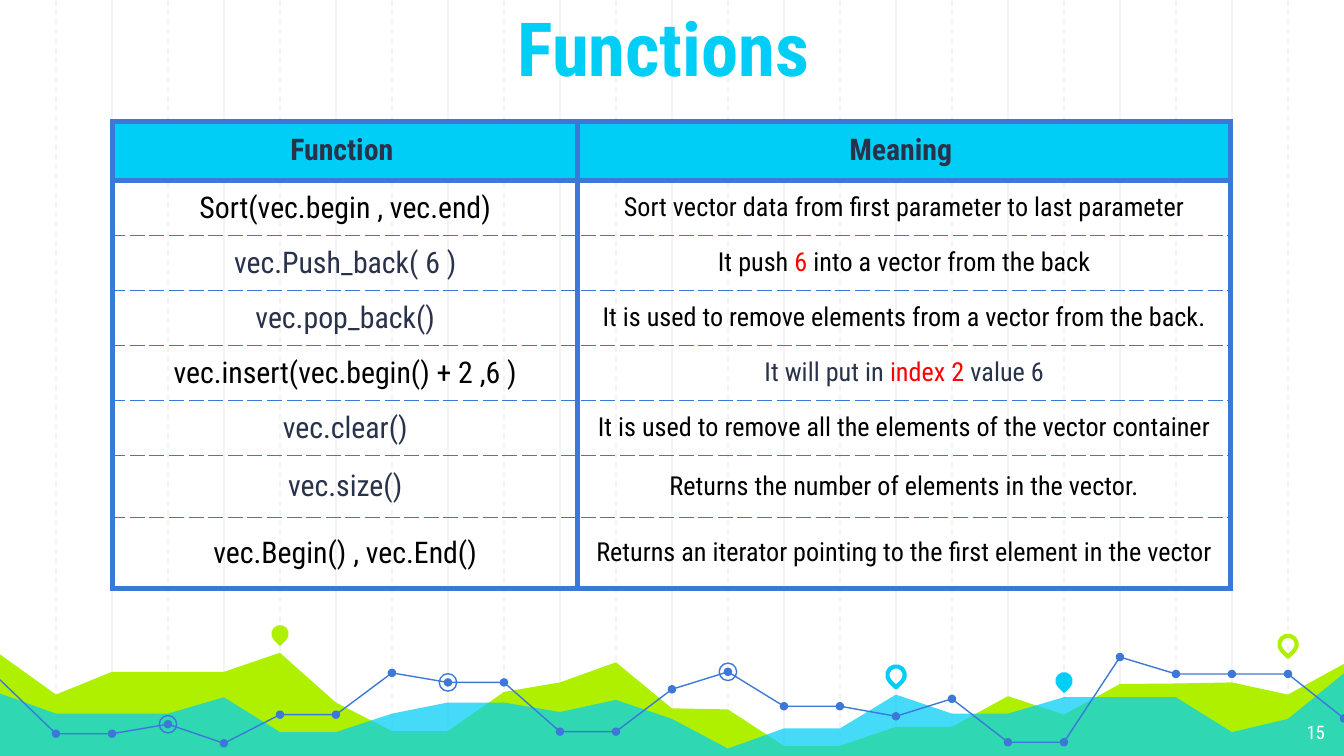
from dataclasses import dataclass

from lxml import etree
from pptx import Presentation
from pptx.dml.color import RGBColor
from pptx.enum.dml import MSO_LINE
from pptx.enum.shapes import MSO_CONNECTOR, MSO_SHAPE
from pptx.enum.text import MSO_ANCHOR, PP_ALIGN
from pptx.oxml.ns import qn
from pptx.util import Cm, Pt

DASH = MSO_LINE.DASH
STRAIGHT = MSO_CONNECTOR.STRAIGHT
OVAL, TEARDROP = MSO_SHAPE.OVAL, MSO_SHAPE.TEAR
CENTER, RIGHT = PP_ALIGN.CENTER, PP_ALIGN.RIGHT
TOP, MIDDLE, BOTTOM = MSO_ANCHOR.TOP, MSO_ANCHOR.MIDDLE, MSO_ANCHOR.BOTTOM


@dataclass(frozen=True)
class Theme:
    font: str = "Roboto Condensed"
    cyan: str = "00CEF6"
    lime: str = "AFF000"
    blue: str = "3C78D8"
    navy: str = "28324A"
    grid: str = "F3F3F3"
    black: str = "000000"
    white: str = "FFFFFF"
    red: str = "FF0000"
    title: int = 40
    name: int = 16
    meaning: int = 14
    number: int = 10
    thin: float = 0.75
    medium: float = 2.25
    thick: float = 3


T = Theme()
W, H = 25.4, 14.29
STEPS = 24  # columns of the background grid

# Heights in cm below the top of the landscape, one for each grid line
LIME_HILLS = [0.57, 1.33, 0.9, 0.9, 0.9, 0.54, 1.48, 2.02, 2.02, 1.28, 1.1, 0.72, 1.59,
              1.61, 2.3, 2.3, 1.94, 1.94, 1.36, 1.71, 1.13, 1.12, 1.1, 1.33, 0.75]
CYAN_HILLS = [1.31, 1.69, 1.69, 1.69, 1.38, 2.04, 2.04, 1.69, 1.48, 1.48, 1.66, 1.43, 1.79,
              2.35, 1.97, 1.97, 1.33, 1.69, 1.69, 1.38, 1.38, 1.38, 2.04, 1.79, 0.93]
TREND = [1.05, 2.07, 2.07, 1.89, 2.25, 1.71, 1.71, 0.92, 1.1, 1.1, 2.03, 2.03, 1.23,
         0.9, 1.55, 1.55, 1.74, 1.41, 2.23, 2.23, 0.62, 0.94, 0.94, 0.94, 1.78]
RINGS = [3, 8, 13]
PINS = [(5, 0.18, T.lime, True), (16, 0.96, T.cyan, False),
        (19, 1.07, T.cyan, True), (23, 0.38, T.lime, False)]

HEADER = ["Function ", "Meaning "]
ROWS = [
    ("Sort(vec.begin , vec.end)", T.black,
     [("Sort vector data from first parameter to last parameter", T.black)]),
    ("vec.Push_back( 6 )", T.navy,
     [("It push ", T.black), ("6", T.red), (" into a vector from the back", T.black)]),
    ("vec.pop_back()", T.navy,
     [("It is used to remove elements from a vector from the back.", T.black)]),
    ("vec.insert(vec.begin() + 2 ,6 )", T.black,
     [("It will put in ", T.navy), ("index 2 ", T.red), ("value 6", T.navy)]),
    ("vec.clear()", T.navy,
     [("It is used to remove all the elements of the vector container", T.black)]),
    ("vec.size()", T.navy,
     [("Returns the number of elements in the vector.", T.black)]),
    ("vec.Begin() , vec.End()", T.black,
     [("Returns an iterator pointing to the first element in the vector", T.black)]),
]


def rgb(color):
    return RGBColor.from_string(color)


def paint(sp, fill=None, line=None, width=T.thin):
    """Set fill and outline; None means no paint."""
    sp.shadow.inherit = False
    for part, color in ((sp.fill, fill), (sp.line.fill, line)):
        if color:
            part.solid()
            part.fore_color.rgb = rgb(color)
        else:
            part.background()
    if line:
        sp.line.width = Pt(width)


def write(tf, runs, size, align=CENTER, bold=False):
    p = tf.paragraphs[0]
    p.alignment = align
    p.font.name, p.font.size, p.font.bold = T.font, Pt(size), bold
    for text, color in runs:
        r = p.add_run()
        r.text = text
        r.font.color.rgb = rgb(color)


def frame(sp, anchor):
    tf = sp.text_frame
    tf.word_wrap = True
    tf.vertical_anchor = anchor
    tf.margin_left = tf.margin_right = tf.margin_top = tf.margin_bottom = Cm(0.25)
    return tf


def centered(s, kind, cx, cy, size):
    return s.shapes.add_shape(kind, Cm(cx - size / 2), Cm(cy - size / 2), Cm(size), Cm(size))


def outline(s, points, close):
    pts = [(Cm(px), Cm(py)) for px, py in points]
    builder = s.shapes.build_freeform(*pts[0])
    builder.add_line_segments(pts[1:], close=close)
    return builder.convert_to_shape()


def add_grid(s, x, y, w, h):
    """Vertical lines, every other one dashed."""
    for i in range(1, STEPS):
        gx = Cm(x + i * w / STEPS)
        line = s.shapes.add_connector(STRAIGHT, gx, Cm(y), gx, Cm(y + h))
        line.line.color.rgb = rgb(T.grid)
        line.line.width = Pt(T.thin)
        if i % 2:
            line.line.dash_style = DASH
        etree.SubElement(line.element.spPr, qn("a:effectLst"))


def add_landscape(s, x, y, w, h):
    """Hills, trend line with dots and rings, and map pins."""
    def at(i, depth):
        return x + i * w / STEPS, y + depth

    def along(depths):
        return [at(i, d) for i, d in enumerate(depths)]

    floor = [(x + w, y + h), (x, y + h)]
    paint(outline(s, along(LIME_HILLS) + floor, True), T.lime)
    hills = outline(s, along(CYAN_HILLS) + floor, True)
    paint(hills, T.cyan)
    color = hills.element.spPr.find(qn("a:solidFill"))[0]
    etree.SubElement(color, qn("a:alpha"), val="73000")

    paint(outline(s, along(TREND), False), line=T.blue)
    for point in along(TREND)[1:]:
        paint(centered(s, OVAL, *point, 0.16), T.blue)
    for i in RINGS:
        paint(centered(s, OVAL, *at(i, TREND[i]), 0.33), line=T.blue)

    for i, depth, color, filled in PINS:
        pin = centered(s, TEARDROP, *at(i, depth), 0.33)
        pin.rotation = 135
        if filled:
            paint(pin, color)
        else:
            paint(pin, line=color, width=T.medium)


def add_title(s, x, y, w, h):
    sp = s.shapes.title
    sp.left, sp.top, sp.width, sp.height = Cm(x), Cm(y), Cm(w), Cm(h)
    sp.element.getparent().append(sp.element)  # in front of the grid
    write(frame(sp, BOTTOM), [("Functions ", T.cyan)], T.title, bold=True)


def add_number(s, x, y, w, h):
    sp = s.shapes.add_textbox(Cm(x), Cm(y), Cm(w), Cm(h))
    write(frame(sp, TOP), [("15", T.white)], T.number, RIGHT)


def set_borders(cell, thick_top, thick_bottom):
    tcPr = cell._tc.get_or_add_tcPr()
    sides = [("L", True), ("R", True), ("T", thick_top), ("B", thick_bottom)]
    for i, (side, thick) in enumerate(sides):
        ln = etree.Element(qn("a:ln" + side), w=str(Pt(T.thick if thick else T.thin)))
        fill = etree.SubElement(ln, qn("a:solidFill"))
        etree.SubElement(fill, qn("a:srgbClr"), val=T.blue)
        etree.SubElement(ln, qn("a:prstDash"), val="solid" if thick else "dash")
        tcPr.insert(i, ln)


def add_function_table(s, x, y, w, h):
    heights = [1.12] + [1.04] * 5 + [1.17]
    heights.append(h - sum(heights))
    names = 8.79
    table = s.shapes.add_table(len(heights), 2, Cm(x), Cm(y), Cm(w), Cm(h)).table
    for column, width in zip(table.columns, (names, w - names)):
        column.width = Cm(width)
    for row, height in zip(table.rows, heights):
        row.height = Cm(height)

    for c, text in enumerate(HEADER):
        write(table.cell(0, c).text_frame, [(text, T.navy)], T.name, bold=True)
    for r, (name, color, meaning) in enumerate(ROWS, 1):
        write(table.cell(r, 0).text_frame, [(name, color)], T.name)
        write(table.cell(r, 1).text_frame, meaning, T.meaning)

    for r, row in enumerate(table.rows):
        for cell in row.cells:
            cell.vertical_anchor = MIDDLE
            cell.margin_left = cell.margin_right = Cm(0.25)
            cell.margin_top = cell.margin_bottom = Cm(0.18)
            if r == 0:
                cell.fill.solid()
                cell.fill.fore_color.rgb = rgb(T.cyan)
            else:
                cell.fill.background()
            set_borders(cell, r <= 1, r in (0, len(ROWS)))


def main():
    prs = Presentation()
    prs.slide_width, prs.slide_height = Cm(W), Cm(H)
    s = prs.slides.add_slide(prs.slide_layouts[5])
    add_grid(s, 0, 0, W, H)
    add_landscape(s, 0, 11.8, W, H - 11.8)
    add_number(s, 23.77, 13.41, 1.52, 0.88)
    add_title(s, 0, 0, W, 1.98)
    add_function_table(s, 2.13, 2.29, 21.13, 8.83)
    prs.save("out.pptx")


if __name__ == "__main__":
    main()
